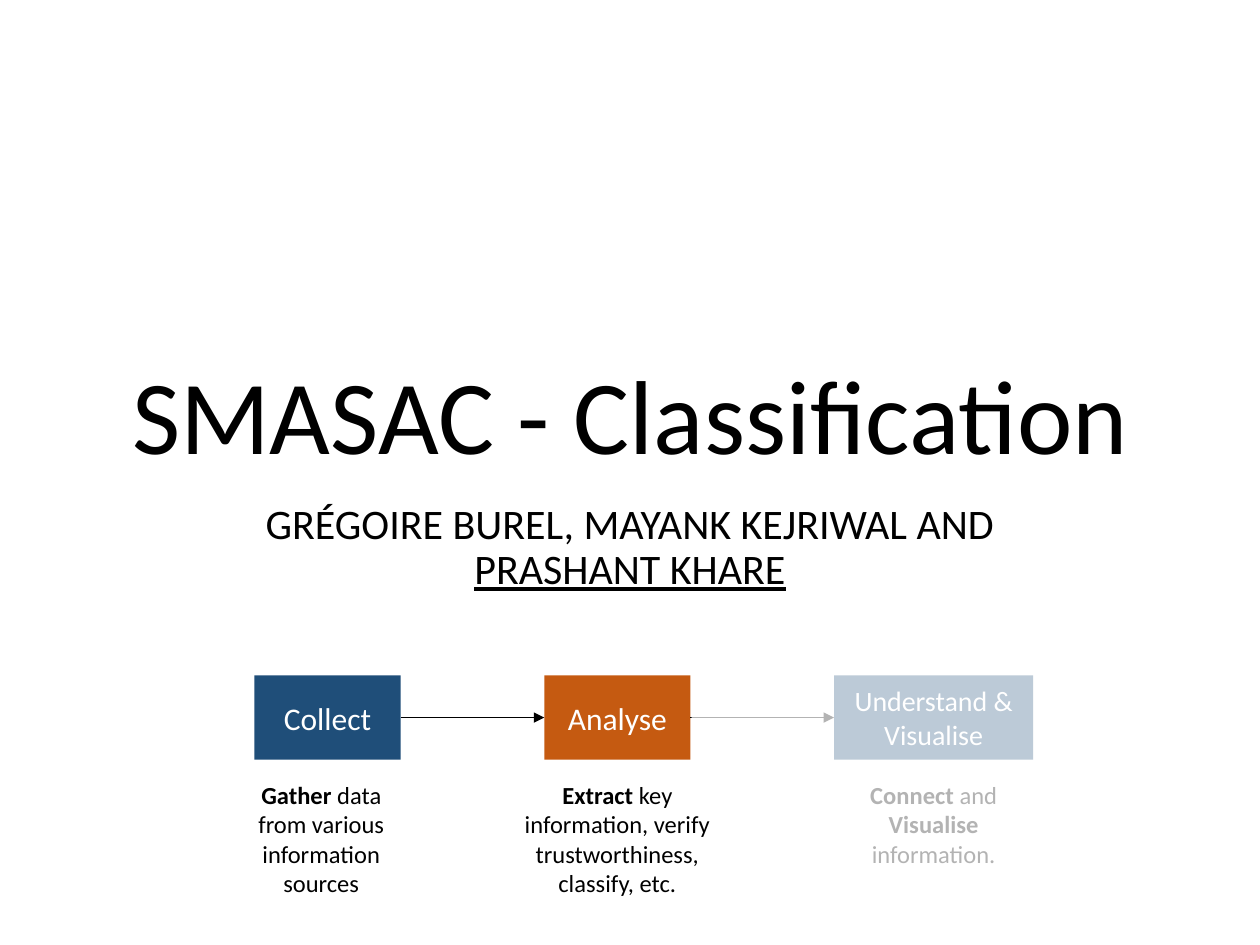
from dataclasses import dataclass

import pptx
import pptx.dml.color
import pptx.enum.shapes
import pptx.enum.text
import pptx.oxml
import pptx.oxml.ns
import pptx.util
from pptx.util import Inches

COLORS = {"blue": "1F4E79", "orange": "C55A11", "white": "FFFFFF", "black": "000000"}
FONT = "Calibri"
BOX_TOP, BOX_HEIGHT = 5.36, 0.67
NOTE_TOP, NOTE_HEIGHT = 6.14, 1.21
ALIGN = pptx.enum.text.PP_ALIGN
ANCHOR = pptx.enum.text.MSO_ANCHOR
RECT = pptx.enum.shapes.MSO_SHAPE.RECTANGLE


@dataclass
class Stage:
    label: str
    left: float
    width: float
    color: str
    size: int
    note_left: float
    note_width: float
    note: list[tuple[str, bool]]  # text, bold


STAGES = [
    Stage("Collect", 2.02, 1.16, "blue", 18, 1.92, 1.26,
          [("Gather", True), (" data from various information sources", False)]),
    Stage("Analyse", 4.32, 1.16, "orange", 18, 4.03, 1.74,
          [("Extract", True),
           (" key information, verify trustworthiness, classify, etc.", False)]),
    Stage("Understand & Visualise", 6.62, 1.58, "blue", 16, 6.67, 1.48,
          [("Connect ", True), ("and", False), (" Visualise", True),
           (" information.", False)]),
]
# Left, top, width, height of the veils that fade the last stage
VEILS = [(5.49, 4.83, 3.64, 1.31), (6.09, 6.14, 3.2, 0.99)]


def rgb(name: str) -> pptx.dml.color.RGBColor:
    return pptx.dml.color.RGBColor.from_string(COLORS[name])


def format_run(r, size: float, color: str = "black", bold: bool = False) -> None:
    r.font.name = FONT
    r.font.size = pptx.util.Pt(size)
    r.font.bold = bold
    r.font.color.rgb = rgb(color)


def place(sp, left: float, top: float, width: float, height: float) -> None:
    sp.left, sp.top = Inches(left), Inches(top)
    sp.width, sp.height = Inches(width), Inches(height)


def add_rect(slide, left: float, top: float, width: float, height: float, color: str):
    sp = slide.shapes.add_shape(RECT, Inches(left), Inches(top),
                                Inches(width), Inches(height))
    sp.shadow.inherit = False
    sp.fill.solid()
    sp.fill.fore_color.rgb = rgb(color)
    sp.line.fill.background()
    return sp


def add_stage(slide, stage: Stage) -> None:
    sp = add_rect(slide, stage.left, BOX_TOP, stage.width, BOX_HEIGHT, stage.color)
    tf = sp.text_frame
    tf.text = stage.label
    tf.word_wrap = True
    tf.vertical_anchor = ANCHOR.MIDDLE
    tf.paragraphs[0].alignment = ALIGN.CENTER
    format_run(tf.paragraphs[0].runs[0], stage.size, "white")

    note = slide.shapes.add_textbox(Inches(stage.note_left), Inches(NOTE_TOP),
                                    Inches(stage.note_width), Inches(NOTE_HEIGHT))
    note.text_frame.word_wrap = True
    p = note.text_frame.paragraphs[0]
    p.alignment = ALIGN.CENTER
    p.space_before = pptx.util.Pt(2.8)
    for text, bold in stage.note:
        r = p.add_run()
        r.text = text
        format_run(r, 14, bold=bold)


def add_arrow(slide, start: Stage, end: Stage) -> None:
    y = Inches(BOX_TOP + BOX_HEIGHT / 2)
    line = slide.shapes.add_connector(
        pptx.enum.shapes.MSO_CONNECTOR.STRAIGHT,
        Inches(start.left + start.width), y, Inches(end.left), y)
    line.line.color.rgb = rgb("black")
    line.line.width = pptx.util.Pt(1)
    ln = line.line._get_or_add_ln()
    ln.append(pptx.oxml.parse_xml(
        f'<a:tailEnd {pptx.oxml.ns.nsdecls("a")} type="triangle"/>'))
    line._element.spPr.append(pptx.oxml.parse_xml(
        f'<a:effectLst {pptx.oxml.ns.nsdecls("a")}/>'))


def add_veil(slide, left: float, top: float, width: float, height: float) -> None:
    sp = add_rect(slide, left, top, width, height, "white")
    color = sp._element.spPr.find(".//" + pptx.oxml.ns.qn("a:srgbClr"))
    color.append(pptx.oxml.parse_xml(
        f'<a:alpha {pptx.oxml.ns.nsdecls("a")} val="70000"/>'))


prs = pptx.Presentation()
prs.slide_width, prs.slide_height = Inches(10), Inches(7.5)
slide = prs.slides.add_slide(prs.slide_layouts[0])

# Title
title = slide.shapes.title
place(title, 0.75, 1.23, 8.5, 2.61)
tf = title.text_frame
tf.text = "SMASAC - Classification"
tf.auto_size = pptx.enum.text.MSO_AUTO_SIZE.NONE
tf.vertical_anchor = ANCHOR.BOTTOM
p = tf.paragraphs[0]
p.alignment = ALIGN.CENTER
p.line_spacing = 0.9
format_run(p.runs[0], 60)

# Authors, the presenter underlined
authors = slide.placeholders[1]
place(authors, 1.25, 3.94, 7.5, 1.81)
tf = authors.text_frame
tf.text = "GRÉGOIRE BUREL, MAYANK KEJRIWAL AND "
tf.auto_size = pptx.enum.text.MSO_AUTO_SIZE.NONE
p = tf.paragraphs[0]
p.alignment = ALIGN.CENTER
p.line_spacing = 0.9
p.space_before = pptx.util.Pt(10)
presenter = p.add_run()
presenter.text = "PRASHANT KHARE"
presenter.font.underline = True
for r in p.runs:
    format_run(r, 24)

# Process stages and arrows
for stage in STAGES:
    add_stage(slide, stage)
for start, end in zip(STAGES, STAGES[1:]):
    add_arrow(slide, start, end)

# Fade the stage still to come
for veil in VEILS:
    add_veil(slide, *veil)

prs.save("out.pptx")
